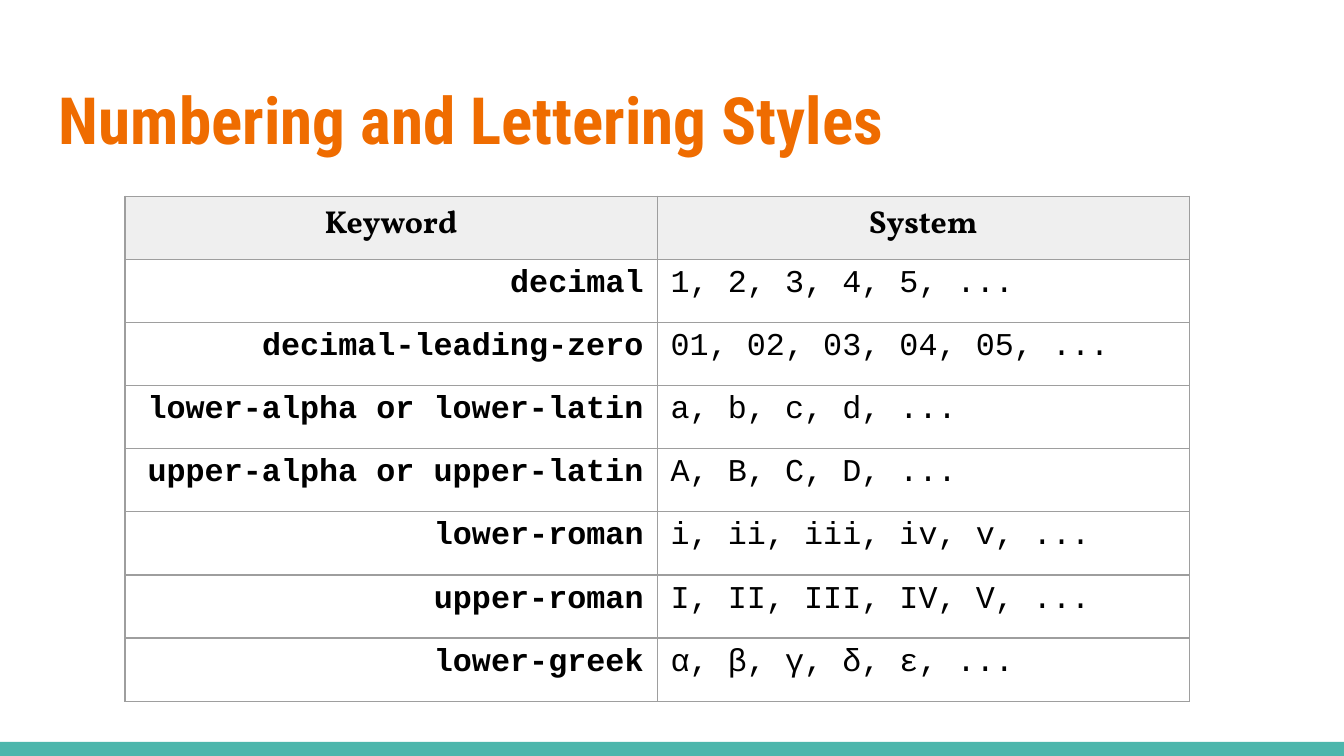
from dataclasses import dataclass

from lxml import etree
from pptx import Presentation
from pptx import util as u
from pptx.dml.color import RGBColor
from pptx.enum import shapes, text
from pptx.oxml import ns

TEAL = RGBColor(0x4D, 0xB6, 0xAC)
ORANGE = RGBColor(0xEF, 0x6C, 0x00)
BLACK = RGBColor(0x00, 0x00, 0x00)
PALE = RGBColor(0xEF, 0xEF, 0xEF)
GRAY = RGBColor(0x9E, 0x9E, 0x9E)

WIDTH = 10
HEIGHT = WIDTH * 9 / 16
COL, ROW = 3.96, 0.47
LEFT, CENTER, RIGHT = text.PP_ALIGN.LEFT, text.PP_ALIGN.CENTER, text.PP_ALIGN.RIGHT


@dataclass
class Style:
    font: dict
    color: RGBColor
    align: text.PP_ALIGN = LEFT


@dataclass
class Entry:
    key: str
    system: str


TITLE = Style({"name": "Roboto Condensed", "size": u.Pt(34.9), "bold": True}, ORANGE)
HEAD = Style({"name": "Vollkorn", "size": u.Pt(17), "bold": True}, BLACK, CENTER)
KEY = Style({"name": "Courier New", "size": u.Pt(17), "bold": True}, BLACK, RIGHT)
SYSTEM = Style({"name": "Courier New", "size": u.Pt(17), "bold": False}, BLACK)

HEADER = Entry("Keyword", "System")
ENTRIES = [
    Entry("decimal", "1, 2, 3, 4, 5, ..."),
    Entry("decimal-leading-zero", "01, 02, 03, 04, 05, ..."),
    Entry("lower-alpha or lower-latin", "a, b, c, d, ..."),
    Entry("upper-alpha or upper-latin", "A, B, C, D, ..."),
    Entry("lower-roman", "i, ii, iii, iv, v, ..."),
    Entry("upper-roman", "I, II, III, IV, V, ..."),
    Entry("lower-greek", "α, β, γ, δ, ε, ..."),
]


def write(frame, words: str, style: Style) -> None:
    para = frame.paragraphs[0]
    para.alignment = style.align
    run = para.add_run()
    run.text = words
    for name, value in style.font.items():
        setattr(run.font, name, value)
    run.font.color.rgb = style.color


def border(cell) -> None:
    props = cell._tc.get_or_add_tcPr()
    for side in ("a:lnL", "a:lnR", "a:lnT", "a:lnB"):
        line = etree.SubElement(props, ns.qn(side), w=str(u.Pt(0.75)))
        fill = etree.SubElement(line, ns.qn("a:solidFill"))
        etree.SubElement(fill, ns.qn("a:srgbClr"), val=str(GRAY))


def draw_title(slide) -> None:
    box = slide.shapes.add_textbox(
        u.Inches(0.34), u.Inches(0.49), u.Inches(9.32), u.Inches(0.77))
    frame = box.text_frame
    frame.word_wrap = True
    for side in ("left", "right", "top", "bottom"):
        setattr(frame, f"margin_{side}", u.Inches(0.1))
    write(frame, "Numbering and Lettering Styles", TITLE)


def draw_strip(slide) -> None:
    strip = slide.shapes.add_shape(
        shapes.MSO_SHAPE.RECTANGLE,
        0, u.Inches(5.52), u.Inches(WIDTH), u.Inches(0.11))
    strip.shadow.inherit = False
    strip.fill.solid()
    strip.fill.fore_color.rgb = TEAL
    strip.line.fill.background()


def draw_table(slide) -> None:
    rows = [HEADER, *ENTRIES]
    table = slide.shapes.add_table(
        len(rows), 2, u.Inches(0.93), u.Inches(1.46),
        u.Inches(2 * COL), u.Inches(ROW * len(rows))).table
    table.first_row = table.horz_banding = False
    for col in table.columns:
        col.width = u.Inches(COL)
    for r, entry in enumerate(rows):
        table.rows[r].height = u.Inches(ROW)
        styles = (KEY, SYSTEM) if r else (HEAD, HEAD)
        for c, words in enumerate((entry.key, entry.system)):
            cell = table.cell(r, c)
            border(cell)
            if r:
                cell.fill.background()
            else:
                cell.fill.solid()
                cell.fill.fore_color.rgb = PALE
            write(cell.text_frame, words, styles[c])


def main() -> None:
    deck = Presentation()
    deck.slide_width, deck.slide_height = u.Inches(WIDTH), u.Inches(HEIGHT)
    slide = deck.slides.add_slide(deck.slide_layouts[6])
    draw_strip(slide)
    draw_title(slide)
    draw_table(slide)
    deck.save("out.pptx")


if __name__ == "__main__":
    main()
